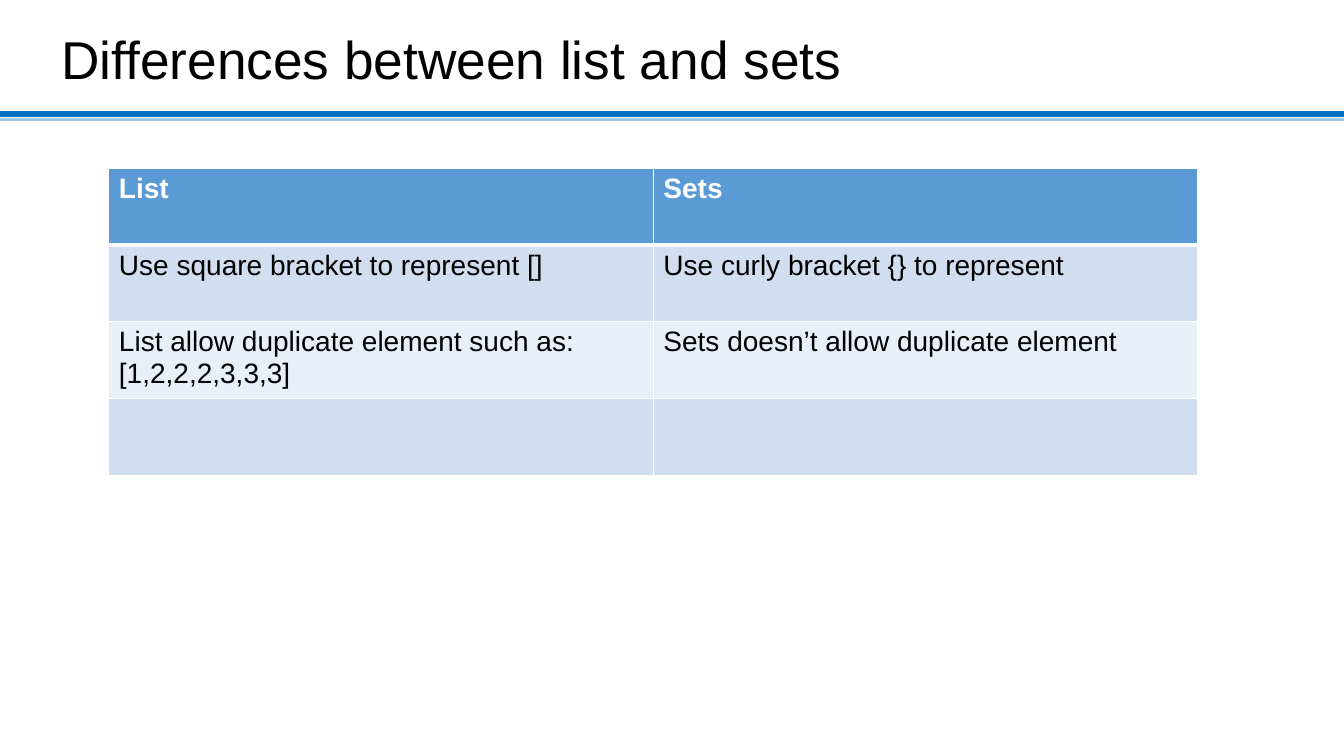
from lxml.etree import SubElement
from pptx import Presentation
from pptx.dml.color import RGBColor
from pptx.enum.shapes import MSO_CONNECTOR
from pptx.enum.text import MSO_ANCHOR
from pptx.oxml.ns import qn
from pptx.util import Inches, Pt

FONT = "Arial"
COLORS = {
    "text": "000000",
    "white": "FFFFFF",
    "rule": "0070C0",
    "rule_light": "9CC2E5",
    "header": "5B9BD5",
    "band_dark": "D0DEEF",
    "band_light": "E9EFF7",
}
COMPARISON = [
    ("List", "Sets"),
    ("Use square bracket to represent []", "Use curly bracket {} to represent"),
    ("List allow duplicate element such as: [1,2,2,2,3,3,3]",
     "Sets doesn’t allow duplicate element"),
    ("", ""),
]


def color(name):
    return RGBColor.from_string(COLORS[name])


def style_paragraph(paragraph, size, color_name, bold=False):
    paragraph.font.name = FONT
    paragraph.font.size = Pt(size)
    paragraph.font.bold = bold
    paragraph.font.color.rgb = color(color_name)


def add_rule(slide, left, top, width, color_name, weight):
    rule = slide.shapes.add_connector(
        MSO_CONNECTOR.STRAIGHT, Inches(left), Inches(top),
        Inches(left + width), Inches(top))
    rule.line.color.rgb = color(color_name)
    rule.line.width = Pt(weight)
    SubElement(rule._element.spPr, qn("a:effectLst"))


def add_title(slide, text, left, top, width, height):
    box = slide.shapes.add_textbox(
        Inches(left), Inches(top), Inches(width), Inches(height))
    frame = box.text_frame
    frame.word_wrap = True
    frame.vertical_anchor = MSO_ANCHOR.BOTTOM
    paragraph = frame.paragraphs[0]
    paragraph.text = text
    paragraph.line_spacing = 0.9
    style_paragraph(paragraph, 38, "text")


def set_borders(cell, weights):
    """Draw white borders; weights maps L, R, T and B to points."""
    properties = cell._tc.get_or_add_tcPr()
    for side, weight in weights.items():
        line = SubElement(properties, qn(f"a:ln{side}"), w=str(Pt(weight)))
        fill = SubElement(line, qn("a:solidFill"))
        SubElement(fill, qn("a:srgbClr"), val=COLORS["white"])


def add_comparison(slide, rows, left, top, width, height):
    table = slide.shapes.add_table(
        len(rows), len(rows[0]), Inches(left), Inches(top),
        Inches(width), Inches(height)).table
    for row_index, row in enumerate(rows):
        is_header = row_index == 0
        band = "band_dark" if row_index % 2 else "band_light"
        weights = {"L": 1, "R": 1, "T": 3 if row_index == 1 else 1,
                   "B": 3 if is_header else 1}
        for column_index, text in enumerate(row):
            cell = table.cell(row_index, column_index)
            set_borders(cell, weights)
            cell.fill.solid()
            cell.fill.fore_color.rgb = color("header" if is_header else band)
            cell.text = text
            style_paragraph(cell.text_frame.paragraphs[0], 20,
                            "white" if is_header else "text", is_header)


def main():
    presentation = Presentation()
    presentation.slide_width = Inches(13.33)
    presentation.slide_height = Inches(7.5)
    slide = presentation.slides.add_slide(presentation.slide_layouts[6])
    add_rule(slide, 0, 1.19, 13.33, "rule_light", 2.25)
    add_rule(slide, 0, 1.13, 13.33, "rule", 4.5)
    add_title(slide, "Differences between list and sets", 0.51, 0.28, 9.88, 0.67)
    add_comparison(slide, COMPARISON, 1.08, 1.67, 10.8, 3.04)
    presentation.save("out.pptx")


if __name__ == "__main__":
    main()
